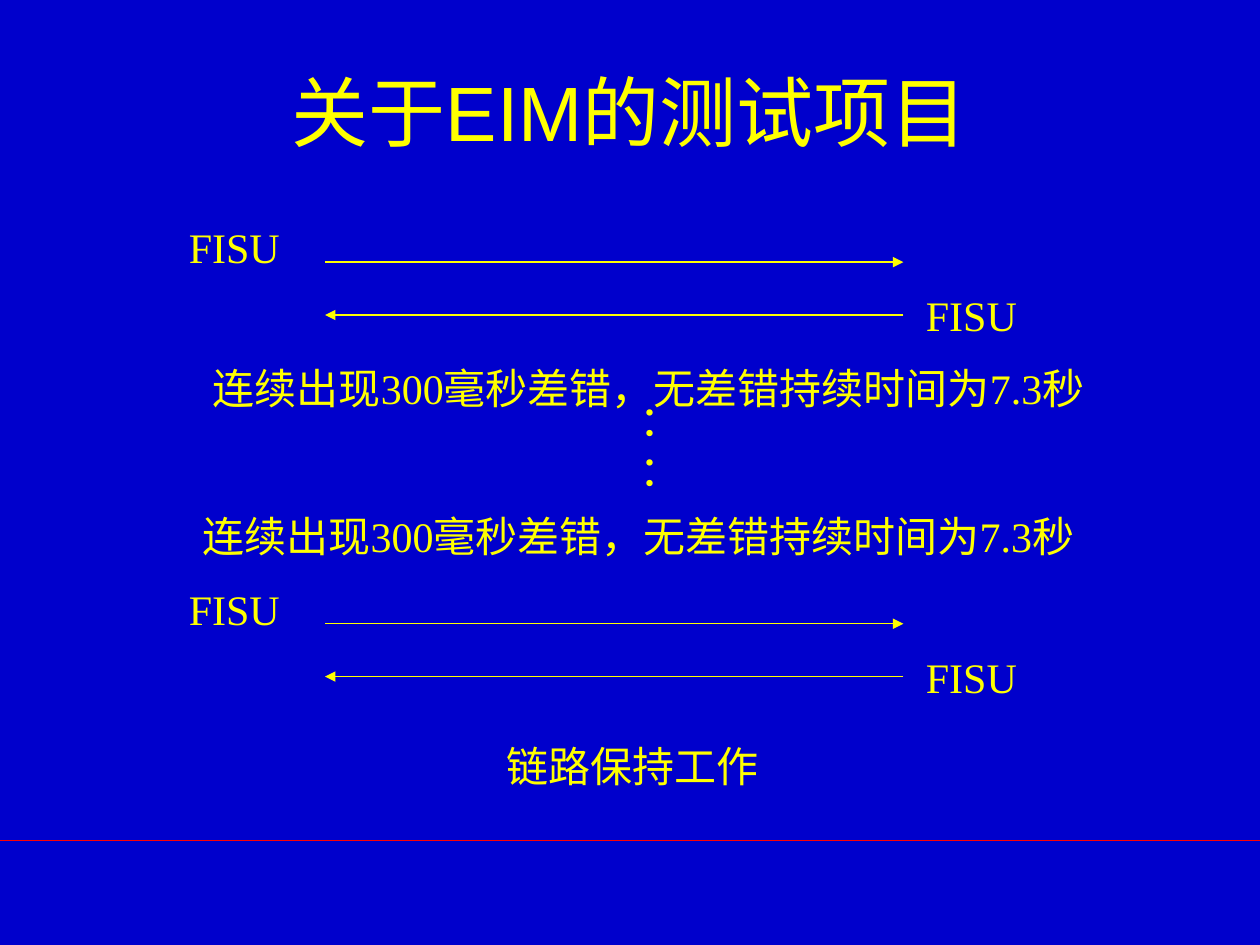
from lxml import etree
from pptx import Presentation
from pptx import util as u
from pptx.dml.color import RGBColor
from pptx.enum import shapes, text
from pptx.oxml.ns import qn

PX = 9144
BLUE = RGBColor(0x00, 0x00, 0xCC)
YELLOW = RGBColor(0xFF, 0xFF, 0x00)
RED = RGBColor(0xFF, 0x00, 0x00)
ERROR_NOTE = "连续出现300毫秒差错，无差错持续时间为7.3秒"


def px(*lengths):
    """Turn lengths in px into EMU."""
    return [u.Emu(n * PX) for n in lengths]


def format_text(tf, lines, size, name, align, anchor):
    """Write lines into a text frame with one font."""
    frame = {"margin_left": px(10)[0], "margin_right": px(10)[0],
             "margin_top": px(5)[0], "margin_bottom": px(5)[0],
             "vertical_anchor": anchor}
    for key, value in frame.items():
        setattr(tf, key, value)
    tf.text = "\n".join(lines)
    for p in tf.paragraphs:
        p.alignment = align
        for r in p.runs:
            for key, value in {"size": u.Pt(size), "name": name, "bold": False}.items():
                setattr(r.font, key, value)
            r.font.color.rgb = YELLOW


def add_title(s, box, title):
    """Place the title placeholder in its box."""
    sp = s.shapes.title
    for key, value in zip(("left", "top", "width", "height"), px(*box)):
        setattr(sp, key, value)
    format_text(sp.text_frame, [title], 44, "Arial",
                text.PP_ALIGN.CENTER, text.MSO_ANCHOR.MIDDLE)


def add_label(s, box, *lines):
    """Add an unwrapped label that fits its text."""
    tf = s.shapes.add_textbox(*px(*box)).text_frame
    tf.word_wrap = False
    tf.auto_size = text.MSO_AUTO_SIZE.SHAPE_TO_FIT_TEXT
    format_text(tf, lines, 24, "Times New Roman",
                text.PP_ALIGN.LEFT, text.MSO_ANCHOR.TOP)


def add_line(s, start, end, color, width, arrow=False):
    """Add a straight line, with an arrowhead at its end if asked."""
    line = s.shapes.add_connector(shapes.MSO_CONNECTOR.STRAIGHT, *px(*start, *end))
    line.line.color.rgb = color
    line.line.width = u.Pt(width)
    if arrow:
        etree.SubElement(line.line._get_or_add_ln(), qn("a:tailEnd"), type="triangle")
    etree.SubElement(line._element.spPr, qn("a:effectLst"))


def add_exchange(s, box, unit):
    """Draw a signal unit sent each way between the two sides of a box."""
    left, top, width, height = box
    label_w, label_h = 92, 50
    near, far = left + 118, left + width - 100
    out_y, back_y = top + 37, top + 79
    add_line(s, (near, out_y), (far, out_y), YELLOW, 0.75, True)
    add_line(s, (far, back_y), (near, back_y), YELLOW, 0.75, True)
    add_label(s, (left, top, label_w, label_h), unit)
    add_label(s, (left + width - label_w, top + height - label_h, label_w, label_h), unit)


def main():
    """Build the slide and save it."""
    prs = Presentation()
    prs.slide_width, prs.slide_height = px(1000, 750)
    s = prs.slides.add_slide(prs.slide_layouts[5])
    s.background.fill.solid()
    s.background.fill.fore_color.rgb = BLUE

    add_line(s, (0, 667), (1000, 667), RED, 1)
    add_title(s, (75, 25, 850, 125), "关于EIM的测试项目")
    for top in (171, 458):
        add_exchange(s, (140, top, 677, 104), "FISU")
    for left, top in ((159, 283), (151, 400)):
        add_label(s, (left, top, 748, 50), ERROR_NOTE)
    add_label(s, (498, 308, 53, 90), "：", "：")
    add_label(s, (392, 583, 220, 50), "链路保持工作")
    prs.save("out.pptx")


if __name__ == "__main__":
    main()
